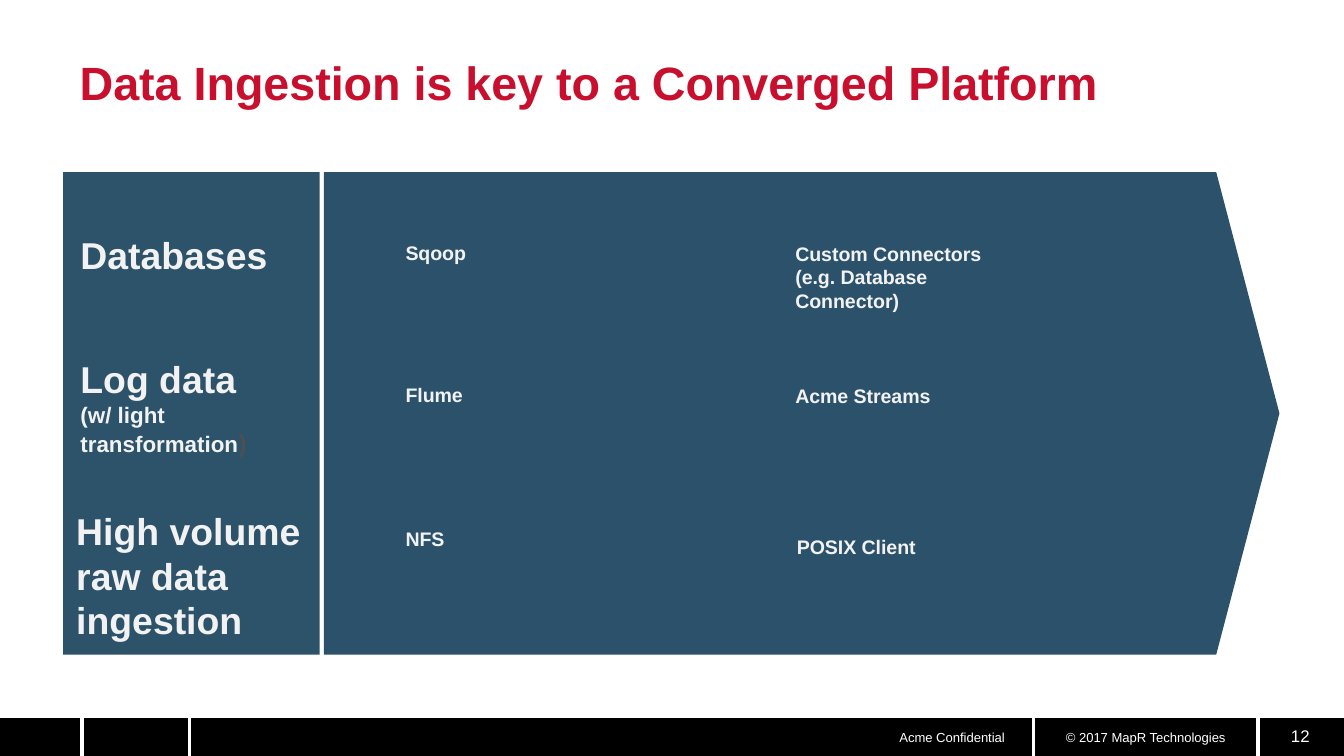
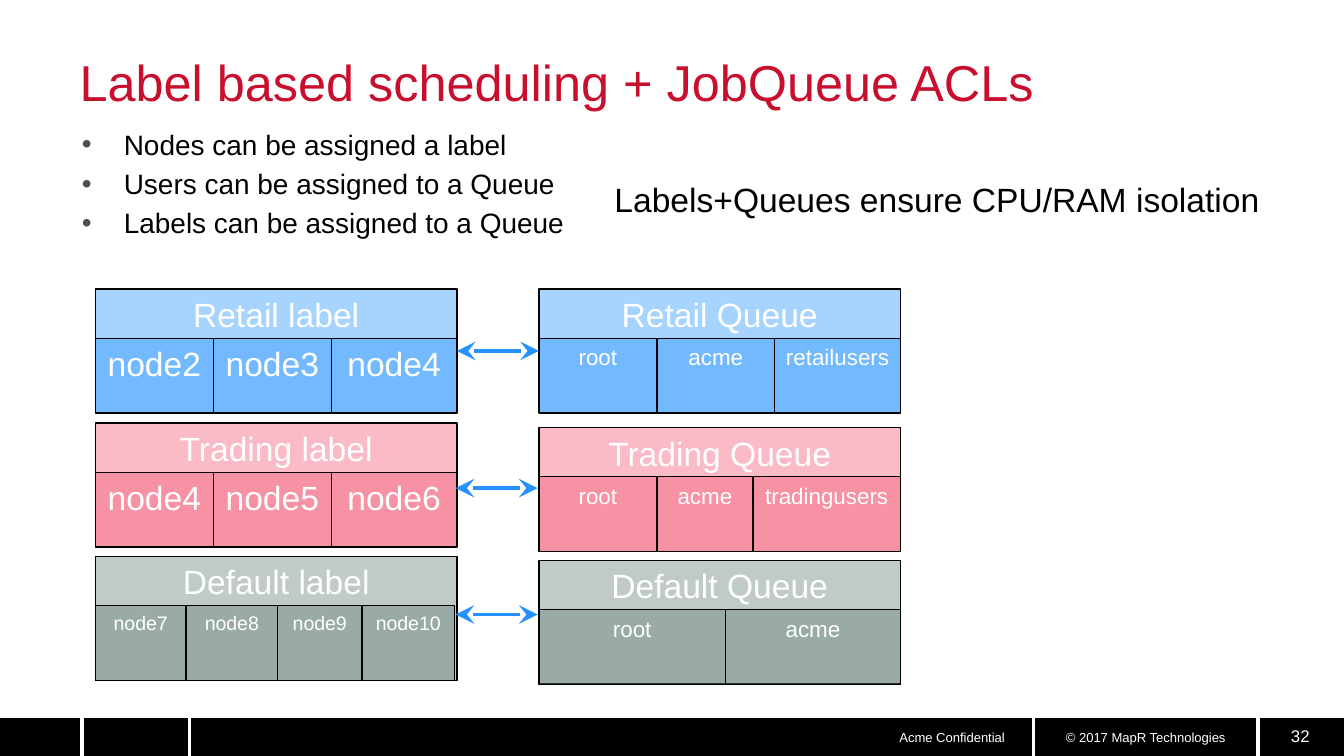
from dataclasses import dataclass
from itertools import accumulate
from typing import Any, NamedTuple, Optional

from pptx import Presentation
from pptx import util as u
from pptx.dml.color import RGBColor
from pptx.enum import shapes, text
from pptx.oxml import ns, xmlchemy

WHITE = RGBColor(0xFF, 0xFF, 0xFF)
BLACK = RGBColor(0, 0, 0)
RED = RGBColor(0xC8, 0x10, 0x2E)
TEAL = RGBColor(0x2C, 0x52, 0x6B)
SLATE = RGBColor(0x2C, 0x53, 0x6A)
PALE = RGBColor(0xF2, 0xF2, 0xF2)
GRAY = RGBColor(0x4D, 0x4F, 0x53)
BLUE = RGBColor(0x25, 0x92, 0xFF)
PINK = RGBColor(0xF4, 0x54, 0x72)
SAGE = RGBColor(0x62, 0x7D, 0x77)

FONT = "Arial"
LEFT, CENTER = text.PP_ALIGN.LEFT, text.PP_ALIGN.CENTER
RECT = shapes.MSO_SHAPE.RECTANGLE
WIDE, HIGH = 720, 405
BAR_Y = 384.3
HEAD = 26.4
CELL = 40
BOX_W = 193.7
BOX_H = HEAD + CELL
LABEL_X, QUEUE_X = 51.1, 288.7


class Box(NamedTuple):
    x: float
    y: float
    w: float
    h: float

    def pts(self) -> list[u.Length]:
        return [u.Pt(v) for v in self]


class Run(NamedTuple):
    words: str
    size: Optional[float] = None
    color: Optional[RGBColor] = None


class Note(NamedTuple):
    box: Box
    lines: list


@dataclass
class Block:
    x: float
    y: float
    color: RGBColor
    name: str
    cells: list[str]
    widths: list[float]
    size: float


class Arrow(NamedTuple):
    start: float
    end: float
    y: float


def child(parent: Any, tag: str, **attrs: str) -> Any:
    item = xmlchemy.OxmlElement(tag)
    for key, value in attrs.items():
        item.set(key, value)
    parent.append(item)
    return item


def write(frame: Any, lines: list, *, size: float, color: RGBColor,
          bold: bool = False, align: Any = LEFT, anchor: Any = text.MSO_ANCHOR.TOP,
          pad: tuple[float, float] = (7.2, 3.6), wrap: bool = True,
          grow: bool = False, gap: float = 0, bullet: bool = False) -> None:
    fit = text.MSO_AUTO_SIZE
    frame.word_wrap = wrap
    frame.auto_size = fit.SHAPE_TO_FIT_TEXT if grow else fit.NONE
    frame.vertical_anchor = anchor
    frame.margin_left = frame.margin_right = u.Pt(pad[0])
    frame.margin_top = frame.margin_bottom = u.Pt(pad[1])
    for i, line in enumerate(lines):
        para = frame.add_paragraph() if i else frame.paragraphs[0]
        para.alignment = align
        para.space_before = u.Pt(gap if i else 0)
        if bullet:
            props = para._p.get_or_add_pPr()
            props.set("marL", str(u.Pt(22.5)))
            props.set("indent", str(u.Pt(-22.5)))
            child(child(props, "a:buClr"), "a:srgbClr", val=str(GRAY))
            child(props, "a:buFont", typeface=FONT)
            child(props, "a:buChar", char="•")
        for part in [Run(line)] if isinstance(line, str) else line:
            run = para.add_run()
            run.text = part.words
            font = run.font
            font.name = FONT
            font.size = u.Pt(part.size or size)
            font.bold = bold
            font.color.rgb = part.color or color


def note(slide: Any, box: Box, lines: list, **form: Any) -> None:
    write(slide.shapes.add_textbox(*box.pts()).text_frame, lines, **form)


def shape(tree: Any, box: Box, fill: RGBColor, kind: Any = RECT,
          alpha: int = 100, edge: Optional[RGBColor] = None) -> Any:
    item = tree.add_shape(kind, *box.pts())
    item.shadow.inherit = False
    item.fill.solid()
    item.fill.fore_color.rgb = fill
    if alpha < 100:
        tint = item._element.spPr.find(ns.qn("a:solidFill"))[0]
        child(tint, "a:alpha", val=str(alpha * 1000))
    if edge is None:
        item.line.fill.background()
    else:
        item.line.color.rgb = edge
        item.line.width = u.Pt(0.75)
    return item


def line(slide: Any, start: tuple[float, float], end: tuple[float, float],
         color: RGBColor, heads: bool = False) -> Any:
    item = slide.shapes.add_connector(
        shapes.MSO_CONNECTOR.STRAIGHT, *[u.Pt(v) for v in start + end])
    item.line.color.rgb = color
    item.line.width = u.Pt(2)
    if heads:
        for tag in ("a:headEnd", "a:tailEnd"):
            child(item.line._get_or_add_ln(), tag, type="stealth", w="lg", len="lg")
    child(item._element.spPr, "a:effectLst")
    return item


def footer(slide: Any, number: str) -> None:
    shape(slide.shapes, Box(0, BAR_Y, WIDE, HIGH - BAR_Y), BLACK)
    for box, words in [(Box(553.7, 391, 120.2, 8.6), "© 2017 MapR Technologies"),
                       (Box(469.4, 391, 81.4, 8.6), "Acme Confidential")]:
        note(slide, box, [words], size=7, color=WHITE, align=CENTER, pad=(0, 0))
    note(slide, Box(686.2, 385.9, 33, 18), [number], size=9, color=WHITE,
         pad=(5.4, 2.7))
    for x in (43.9, 101.5, 553.7, 673.9):
        line(slide, (x, BAR_Y), (x, HIGH), WHITE)
    line(slide, (0, BAR_Y - 0.5), (WIDE, BAR_Y - 0.5), WHITE)


def page(deck: Any, title: str, number: str, size: float, bold: bool) -> Any:
    slide = deck.slides.add_slide(deck.slide_layouts[5])
    footer(slide, number)
    head = slide.shapes.title
    head.left, head.top, head.width, head.height = Box(35.5, 16.2, 627, 54.7).pts()
    write(head.text_frame, [title], size=size, color=RED, bold=bold,
          anchor=text.MSO_ANCHOR.MIDDLE)
    return slide


def block(slide: Any, item: Block) -> Any:
    tree = slide.shapes.add_group_shape().shapes

    def tile(box: Box, words: str, size: float) -> Any:
        part = shape(tree, box, item.color, alpha=40, edge=BLACK)
        write(part.text_frame, [words], size=size, color=WHITE, align=CENTER,
              pad=(5, 2.7))
        return part

    frame = tile(Box(item.x, item.y, BOX_W, BOX_H), item.name, 18)
    lefts = accumulate(item.widths, initial=item.x)
    for x, width, words in zip(lefts, item.widths, item.cells):
        tile(Box(x, item.y + HEAD, width, CELL), words, item.size)
    return frame


def ingest(deck: Any) -> None:
    slide = page(deck, "Data Ingestion is key to a Converged Platform", "12", 25, True)
    arrow = shape(slide.shapes, Box(173.5, 92.2, 511.9, 258.5), TEAL,
                  shapes.MSO_SHAPE.PENTAGON)
    arrow.adjustments[0] = 0.131
    shape(slide.shapes, Box(33.8, 92.2, 137.5, 258.5), SLATE)
    light = [Run("(w/ light transformation", 12), Run(")", 13.5, GRAY)]
    sources = [
        Note(Box(36, 121, 116.6, 31.7), ["Databases"]),
        Note(Box(36, 187.2, 116.6, 62.6), ["Log data", light]),
        Note(Box(33.8, 268.6, 144, 79.9), ["High volume", "raw data", "ingestion"]),
    ]
    tools = [
        Note(Box(210.2, 125.3, 47.5, 20.2), ["Sqoop"]),
        Note(Box(419, 126, 142.6, 32.4),
             ["Custom Connectors", "(e.g. Database Connector)"]),
        Note(Box(210.2, 201.6, 45.4, 20.2), ["Flume"]),
        Note(Box(419, 202.3, 88.6, 20.2), ["Acme Streams"]),
        Note(Box(210.2, 278.6, 38.9, 20.2), ["NFS"]),
        Note(Box(419.8, 283, 79.2, 20.2), ["POSIX Client"]),
    ]
    for item in sources:
        note(slide, *item, size=20, color=PALE, bold=True, grow=True)
    for item in tools:
        note(slide, *item, size=10.5, color=PALE, bold=True, grow=True, wrap=False)


def queues(deck: Any) -> None:
    slide = page(deck, "Label based scheduling + JobQueue ACLs", "32", 27, False)
    note(slide, Box(36.7, 64.8, 683.3, 82),
         ["Nodes can be assigned a label", "Users can be assigned to a Queue",
          "Labels can be assigned to a Queue"],
         size=15, color=BLACK, gap=3, bullet=True)
    thirds = [63.2, 63.2, 67.3]
    rows = [
        (Block(LABEL_X, 154.8, BLUE, "Retail label",
               ["node2", "node3", "node4"], thirds, 18),
         Block(QUEUE_X, 154.8, BLUE, "Retail Queue",
               ["root", "acme", "retailusers"], thirds, 12),
         Arrow(244.8, 288.7, 188)),
        (Block(LABEL_X, 226.6, PINK, "Trading label",
               ["node4", "node5", "node6"], thirds, 18),
         Block(QUEUE_X, 229, PINK, "Trading Queue",
               ["root", "acme", "tradingusers"], [63.2, 51.5, 79], 12),
         Arrow(244.1, 288, 261.5)),
        (Block(LABEL_X, 298.1, SAGE, "Default label",
               ["node7", "node8", "node9", "node10"], [48.6, 49, 45.2, 49.7], 10.5),
         Block(QUEUE_X, 300.2, SAGE, "Default Queue",
               ["root", "acme"], [100, 93.7], 12),
         Arrow(244.1, 288, 329.2)),
    ]
    for label, queue, arrow in rows:
        left, right = block(slide, label), block(slide, queue)
        link = line(slide, (arrow.start, arrow.y), (arrow.end, arrow.y), BLUE, True)
        if label.y == queue.y:
            link.begin_connect(left, 3)
            link.end_connect(right, 1)
    note(slide, Box(324.2, 92.9, 360, 27.4), ["Labels+Queues ensure CPU/RAM isolation"],
         size=18, color=BLACK, pad=(5, 2.7))


def main() -> None:
    deck = Presentation()
    deck.slide_width, deck.slide_height = u.Pt(WIDE), u.Pt(HIGH)
    ingest(deck)
    queues(deck)
    deck.save("out.pptx")


if __name__ == "__main__":
    main()
